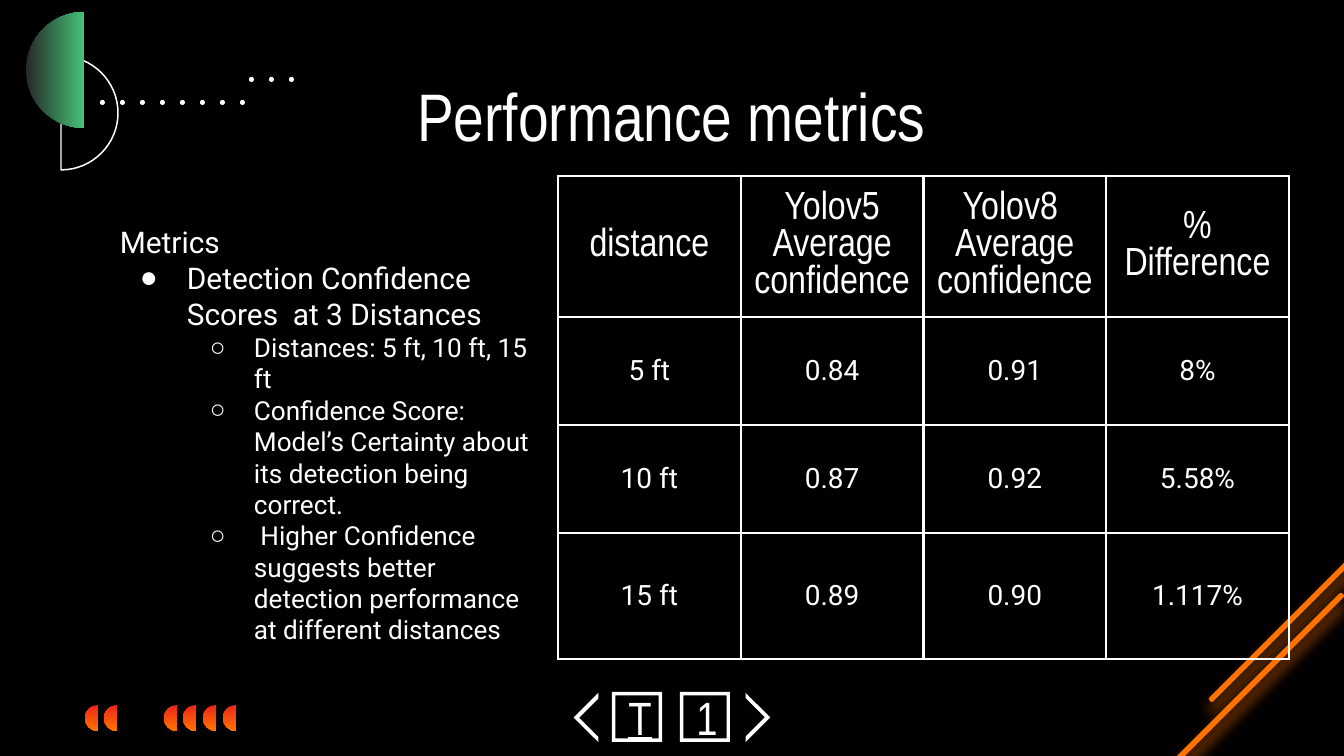
from lxml import etree
from pptx import Presentation
from pptx.dml.color import RGBColor
from pptx.enum.shapes import MSO_SHAPE
from pptx.enum.text import MSO_ANCHOR, MSO_AUTO_SIZE, PP_ALIGN
from pptx.oxml.ns import qn
from pptx.util import Pt

PX = 914400 / 134.4  # EMU in one px
WIDTH, HEIGHT = 1344, 756
BLACK = RGBColor(0x00, 0x00, 0x00)
WHITE = RGBColor(0xFF, 0xFF, 0xFF)
GREEN = RGBColor(0x43, 0xC2, 0x77)
CHARCOAL = RGBColor(0x27, 0x27, 0x27)
RED = RGBColor(0xEC, 0x25, 0x19)
ORANGE = RGBColor(0xFF, 0x73, 0x00)

HEADING, BODY, BULLET_FONT = "Arial Narrow", "Roboto", "Arial"
INSET = 13

BULLETS = [
    ("Metrics", None),
    ("Detection Confidence Scores  at 3 Distances", 0),
    ("Distances: 5 ft, 10 ft, 15 ft", 1),
    ("Confidence Score: Model’s Certainty about its detection being correct.", 1),
    (" Higher Confidence suggests better detection performance at different distances", 1),
]
# level: (character, left margin, hanging indent)
BULLET_STYLES = {0: ("●", 67, 47), 1: ("○", 134, 44)}

ROWS = [
    ["distance", "Yolov5 Average confidence", "Yolov8  Average confidence", "% Difference"],
    ["5 ft", "0.84", "0.91", "8%"],
    ["10 ft", "0.87", "0.92", "5.58%"],
    ["15 ft", "0.89", "0.90", "1.117%"],
]
ROW_HEIGHTS = [137, 108, 108, 126]
TABLE_WIDTH = 731


def px(n):
    return round(n * PX)


def apply(obj, values):
    for name, value in values.items():
        setattr(obj, name, value)


def add_xml(parent, tag, **attrs):
    return etree.SubElement(parent, qn(tag), {k: str(v) for k, v in attrs.items()})


def margins(vertical=INSET):
    return {"margin_left": px(INSET), "margin_right": px(INSET),
            "margin_top": px(vertical), "margin_bottom": px(vertical)}


def write(p, text, size, font, align=PP_ALIGN.CENTER, underline=None):
    p.alignment = align
    r = p.add_run()
    r.text = text
    apply(r.font, {"size": Pt(size), "name": font, "bold": False, "underline": underline})
    r.font.color.rgb = WHITE


def paint(sp, fill=None, line=None, width=1):
    sp.shadow.inherit = False
    if fill is None:
        sp.fill.background()
    else:
        sp.fill.solid()
        sp.fill.fore_color.rgb = fill
    if line is None:
        sp.line.fill.background()
    else:
        sp.line.color.rgb = line
        sp.line.width = Pt(width)


def add_preset(s, kind, x, y, w, h, fill=WHITE, adjustments=(), rotation=0):
    sp = s.shapes.add_shape(kind, px(x), px(y), px(w), px(h))
    for i, value in enumerate(adjustments):
        sp.adjustments[i] = value
    sp.rotation = rotation
    paint(sp, fill)
    return sp


def add_outline(s, points):
    builder = s.shapes.build_freeform(*points[0], scale=PX)
    builder.add_line_segments(points[1:], close=True)
    return builder.convert_to_shape()


def add_half_disc(s, x, y, radius, side):
    """Half disc with its flat edge at x; side is -1 for left, 1 for right."""
    top, bottom, far = y - radius, y + radius, x + side * radius
    sp = add_outline(s, [(x, top), (far, top), (far, bottom), (x, bottom)])
    # Two Bezier quarter arcs on a 100 by 200 grid
    path = next(sp._element.iter(qn("a:path")))
    for child in list(path):
        path.remove(child)
    path.set("w", "100")
    path.set("h", "200")
    for tag, points in (
        ("a:moveTo", [(0, 0)]),
        ("a:cubicBezTo", [(55, 0), (100, 45), (100, 100)]),
        ("a:cubicBezTo", [(100, 155), (55, 200), (0, 200)]),
        ("a:close", []),
    ):
        step = add_xml(path, tag)
        for px_x, px_y in points:
            add_xml(step, "a:pt", x=px_x if side > 0 else 100 - px_x, y=px_y)
    paint(sp)
    return sp


def fill_gradient(sp, start, end, angle):
    sp.fill.gradient()
    sp.fill.gradient_angle = angle
    for stop, color in zip(sp.fill.gradient_stops, (start, end)):
        stop.color.rgb = color


def add_stripe(s, x, y, length):
    """Glowing diagonal running down and left from (x, y)."""
    sp = add_outline(s, [(x, y), (x - length, y + length),
                         (x - length + 1, y + length + 1), (x + 1, y + 1)])
    paint(sp, ORANGE, ORANGE, 2.25)
    spPr = sp._element.spPr
    add_xml(spPr.find(qn("a:ln")), "a:round")
    shadow = add_xml(spPr.find(qn("a:effectLst")), "a:outerShdw", blurRad=Pt(7.9),
                     dist=Pt(5.2), dir=5400000, algn="bl", rotWithShape=0)
    add_xml(add_xml(shadow, "a:srgbClr", val=ORANGE), "a:alpha", val=83000)


def add_decorations(s):
    # Dark veil over the background
    veil = add_preset(s, MSO_SHAPE.RECTANGLE, 0, 0, WIDTH, HEIGHT, BLACK)
    add_xml(next(veil._element.spPr.iter(qn("a:srgbClr"))), "a:alpha", val=81000)
    # Small half discs at the bottom
    for x in (98, 117, 177, 196, 216, 236):
        fill_gradient(add_half_disc(s, x, 718, 13, -1), RED, ORANGE, 270)
    # Large half discs at the top
    paint(add_half_disc(s, 61, 113, 57, 1), line=WHITE, width=0.78)
    fill_gradient(add_half_disc(s, 84, 70, 58, -1), CHARCOAL, GREEN, 0)
    # Dotted rows
    for left, top, count in ((100, 100, 8), (249, 77, 3)):
        for i in range(count):
            add_preset(s, MSO_SHAPE.OVAL, left + 20 * i, top, 5, 5)
    # Diagonal stripes
    for x, y in ((1341, 595), (1377, 533)):
        add_stripe(s, x, y, 166)


def add_title(s, text):
    title = s.shapes.title
    apply(title, {"left": px(105), "top": px(80), "width": px(1133), "height": px(70)})
    tf = title.text_frame
    apply(tf, {"auto_size": MSO_AUTO_SIZE.NONE, "word_wrap": True,
               "vertical_anchor": MSO_ANCHOR.MIDDLE, **margins()})
    write(tf.paragraphs[0], text, 36, HEADING)


def add_bullets(s):
    tf = s.shapes.add_textbox(px(107), px(211), px(438), px(445)).text_frame
    apply(tf, {"word_wrap": True, **margins()})
    for i, (text, level) in enumerate(BULLETS):
        p = tf.add_paragraph() if i else tf.paragraphs[0]
        if level is not None:
            char, left, hanging = BULLET_STYLES[level]
            p.level = level
            pPr = p._p.get_or_add_pPr()
            pPr.set("marL", str(px(left)))
            pPr.set("indent", str(-px(hanging)))
            add_xml(add_xml(pPr, "a:buClr"), "a:srgbClr", val=WHITE)
            add_xml(pPr, "a:buFont", typeface=BULLET_FONT)
            add_xml(pPr, "a:buChar", char=char)
        write(p, text, 14 if level == 1 else 16, BODY, PP_ALIGN.LEFT)


def add_navigation(s):
    for x, rotation in ((581, 315), (728, 135)):
        add_preset(s, MSO_SHAPE.HALF_FRAME, x, 700, 35, 35, WHITE, (0.114, 0.107), rotation)
    for x, text, underline in ((680, "1", None), (612, "T", True)):
        tf = add_preset(s, MSO_SHAPE.FRAME, x, 692, 50, 50, WHITE, (0.069,)).text_frame
        apply(tf, {"word_wrap": True, "vertical_anchor": MSO_ANCHOR.MIDDLE, **margins()})
        write(tf.paragraphs[0], text, 25, HEADING, underline=underline)


def add_metrics_table(s):
    cols = len(ROWS[0])
    table = s.shapes.add_table(len(ROWS), cols, px(558), px(176),
                               px(TABLE_WIDTH), px(sum(ROW_HEIGHTS))).table
    apply(table, {"first_row": False, "horz_banding": False})
    for col in table.columns:
        col.width = px(TABLE_WIDTH / cols)
    for i, (height, texts) in enumerate(zip(ROW_HEIGHTS, ROWS)):
        table.rows[i].height = px(height)
        size, font, vertical = (15, BODY, INSET) if i else (21, HEADING, 0)
        for j, text in enumerate(texts):
            cell = table.cell(i, j)
            apply(cell, {"vertical_anchor": MSO_ANCHOR.MIDDLE, **margins(vertical)})
            for side in "LRTB":
                ln = add_xml(cell._tc.get_or_add_tcPr(), f"a:ln{side}", w=Pt(1.5))
                add_xml(add_xml(ln, "a:solidFill"), "a:srgbClr", val=WHITE)
            cell.fill.background()
            write(cell.text_frame.paragraphs[0], text, size, font)


def main():
    prs = Presentation()
    apply(prs, {"slide_width": px(WIDTH), "slide_height": px(HEIGHT)})
    s = prs.slides.add_slide(prs.slide_layouts[5])
    s.background.fill.solid()
    s.background.fill.fore_color.rgb = BLACK
    add_decorations(s)
    # Bring the title above the veil
    tree = s.shapes.title._element.getparent()
    tree.append(s.shapes.title._element)
    add_title(s, "Performance metrics")
    add_bullets(s)
    add_navigation(s)
    add_metrics_table(s)
    prs.save("out.pptx")


if __name__ == "__main__":
    main()
